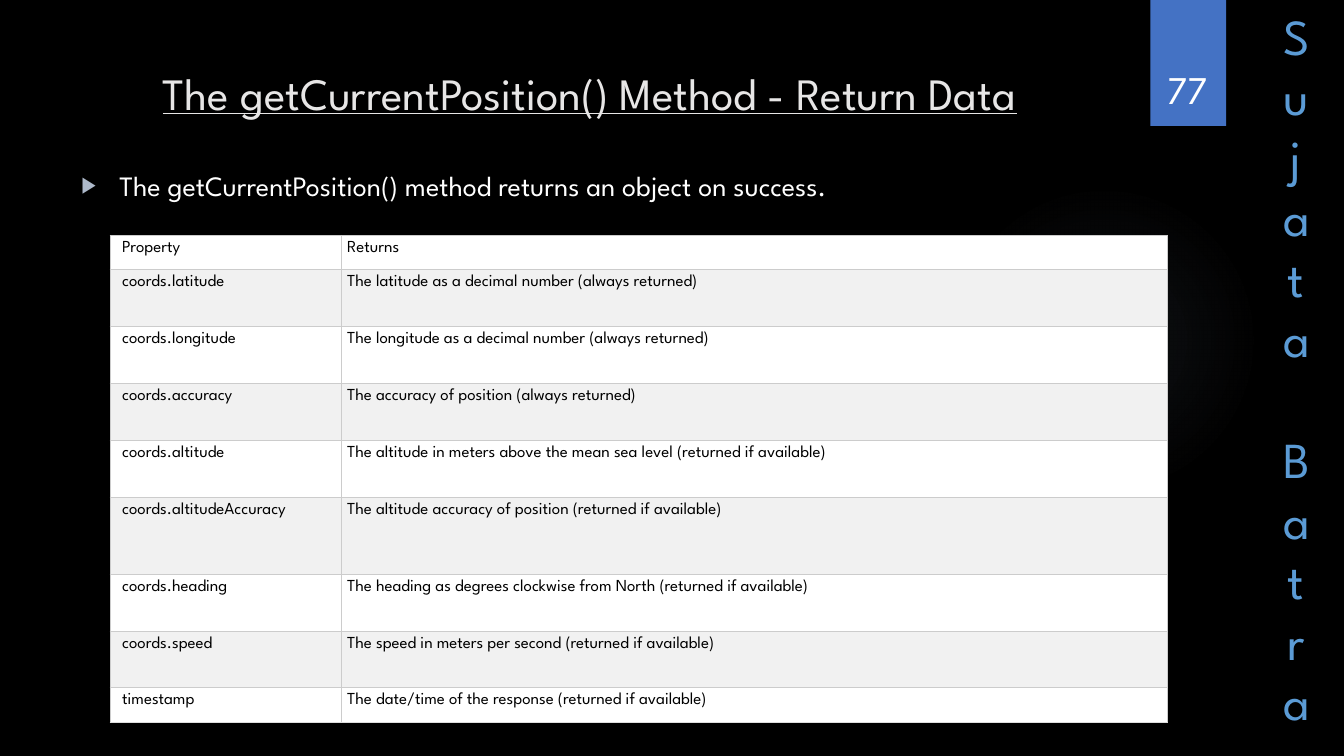
from lxml.etree import SubElement
from pptx import Presentation
from pptx.dml.color import RGBColor
from pptx.enum.shapes import MSO_SHAPE
from pptx.enum.text import MSO_ANCHOR, MSO_AUTO_SIZE, PP_ALIGN
from pptx.oxml import parse_xml
from pptx.oxml.ns import nsdecls, qn
from pptx.util import Pt

# Content
FONT = "League Spartan"
TITLE = "The getCurrentPosition() Method - Return Data"
BULLET = "The getCurrentPosition() method returns an object on success."
PAGE_NUMBER = "77"
SIDE_NAME = ["Sujata", " Batra"]
RETURN_DATA = [  # property, returns, row height
    ("Property", "Returns", 24.8),
    ("coords.latitude", "The latitude as a decimal number (always returned)", 40.7),
    ("coords.longitude", "The longitude as a decimal number (always returned)", 40.7),
    ("coords.accuracy", "The accuracy of position (always returned)", 40.7),
    ("coords.altitude",
     "The altitude in meters above the mean sea level (returned if available)", 40.7),
    ("coords.altitudeAccuracy",
     "The altitude accuracy of position (returned if available)", 55),
    ("coords.heading",
     "The heading as degrees clockwise from North (returned if available)", 40.7),
    ("coords.speed", "The speed in meters per second (returned if available)", 40),
    ("timestamp", "The date/time of the response (returned if available)", 24.8),
]
COLUMN_WIDTHS = (165, 590.4)
LEFT_INSETS = (8.6, 4.3)
ROW_FILLS = ("FFFFFF", "F1F1F1")
BORDER = "CCCCCC"
LAST_BORDER = "DDDDDD"


def color(hex_string):
    return RGBColor.from_string(hex_string)


def box(left, top, width, height):
    return Pt(left), Pt(top), Pt(width), Pt(height)


def place(shape, left, top, width, height):
    shape.left, shape.top, shape.width, shape.height = box(left, top, width, height)


def add_text(paragraph, text, size, hex_string, align=None, underline=None):
    paragraph.alignment = align
    run = paragraph.add_run()
    run.text = text
    run.font.name = FONT
    run.font.size = Pt(size)
    run.font.color.rgb = color(hex_string)
    run.font.underline = underline


def add_plain_shape(kind, bounds, hex_string):
    shape = slide.shapes.add_shape(kind, *box(*bounds))
    shape.shadow.inherit = False
    shape.fill.solid()
    shape.fill.fore_color.rgb = color(hex_string)
    shape.line.fill.background()
    return shape


def add_text_box(bounds):
    frame = slide.shapes.add_textbox(*box(*bounds)).text_frame
    frame.word_wrap = True
    return frame


def set_borders(cell, bottom):
    properties = cell._tc.get_or_add_tcPr()
    sides = {"L": BORDER, "R": BORDER, "T": BORDER, "B": bottom}
    for index, (side, hex_string) in enumerate(sides.items()):
        properties.insert(index, parse_xml(
            f'<a:ln{side} {nsdecls("a")} w="{Pt(0.75)}"><a:solidFill>'
            f'<a:srgbClr val="{hex_string}"/></a:solidFill></a:ln{side}>'))


presentation = Presentation()
presentation.slide_width, presentation.slide_height = Pt(960), Pt(540)
slide = presentation.slides.add_slide(presentation.slide_layouts[1])
slide.background.fill.solid()
slide.background.fill.fore_color.rgb = color("000000")

# Soft glow behind the table
glow = add_plain_shape(MSO_SHAPE.OVAL, (677.5, 131.8, 221.8, 221.8), "8497B0")
stops = "".join(
    f'<a:gs pos="{position}000"><a:srgbClr val="8497B0">'
    f'<a:alpha val="{alpha}000"/></a:srgbClr></a:gs>'
    for position, alpha in ((0, 7), (36, 6), (69, 0), (100, 0)))
solid = glow._element.spPr.find(qn("a:solidFill"))
solid.getparent().replace(solid, parse_xml(
    f'<a:gradFill {nsdecls("a")}><a:gsLst>{stops}</a:gsLst><a:path path="circle">'
    '<a:fillToRect l="50000" t="50000" r="50000" b="50000"/></a:path></a:gradFill>'))

# Page number tab with its shadow
tab = add_plain_shape(MSO_SHAPE.RECTANGLE, (821.8, 0, 54, 90), "4472C4")
tab._element.spPr.find(qn("a:effectLst")).append(parse_xml(
    f'<a:outerShdw {nsdecls("a")} blurRad="{Pt(3)}" dist="{Pt(2)}" dir="5400000">'
    '<a:srgbClr val="000000"><a:alpha val="45000"/></a:srgbClr></a:outerShdw>'))

# Name down the right edge: the box is one letter wide
name_frame = add_text_box((910, 0, 31, 530.6))
for index, part in enumerate(SIDE_NAME):
    paragraph = name_frame.add_paragraph() if index else name_frame.paragraphs[0]
    add_text(paragraph, part, 36, "5B9BD5", PP_ALIGN.CENTER)

# Title and bullet
title, body = slide.placeholders[0], slide.placeholders[1]
for placeholder in (title, body):
    slide.shapes._spTree.append(placeholder._element)
    placeholder.text_frame.auto_size = MSO_AUTO_SIZE.NONE
place(title, 51, 36, 741, 60.5)
add_text(title.text_frame.paragraphs[0], TITLE, 32, "E7E6E6", PP_ALIGN.CENTER, True)
place(body, 51, 116.6, 830, 375)
paragraph = body.text_frame.paragraphs[0]
paragraph.space_before = Pt(10)
add_text(paragraph, BULLET, 20, "FFFFFF")
properties = paragraph._p.get_or_add_pPr()
properties.set("marL", str(Pt(27)))
properties.set("indent", str(Pt(-27)))
bullet_color = SubElement(properties, qn("a:buClr"))
SubElement(bullet_color, qn("a:srgbClr"), val="ADB9CA")
SubElement(properties, qn("a:buSzPct"), val="80000")
SubElement(properties, qn("a:buChar"), char="\u25b6")

# Page number
number_frame = add_text_box((815, 23, 66.2, 60.5))
number_frame.vertical_anchor = MSO_ANCHOR.BOTTOM
add_text(number_frame.paragraphs[0], PAGE_NUMBER, 28, "FFFFFF", PP_ALIGN.CENTER)

# Table of returned properties
heights = [row[-1] for row in RETURN_DATA]
table = slide.shapes.add_table(
    len(RETURN_DATA), len(COLUMN_WIDTHS),
    *box(78.7, 168, sum(COLUMN_WIDTHS), sum(heights))).table
for column, width in zip(table.columns, COLUMN_WIDTHS):
    column.width = Pt(width)
for row_index, (*texts, height) in enumerate(RETURN_DATA):
    table.rows[row_index].height = Pt(height)
    is_last = row_index == len(RETURN_DATA) - 1
    for column_index, text in enumerate(texts):
        cell = table.cell(row_index, column_index)
        cell.margin_left = Pt(LEFT_INSETS[column_index])
        cell.margin_right = Pt(4.3)
        cell.margin_top = cell.margin_bottom = Pt(3.6)
        cell.fill.solid()
        cell.fill.fore_color.rgb = color(ROW_FILLS[row_index % 2])
        set_borders(cell, LAST_BORDER if is_last else BORDER)
        add_text(cell.text_frame.paragraphs[0], text, 12, "000000")

presentation.save("out.pptx")
